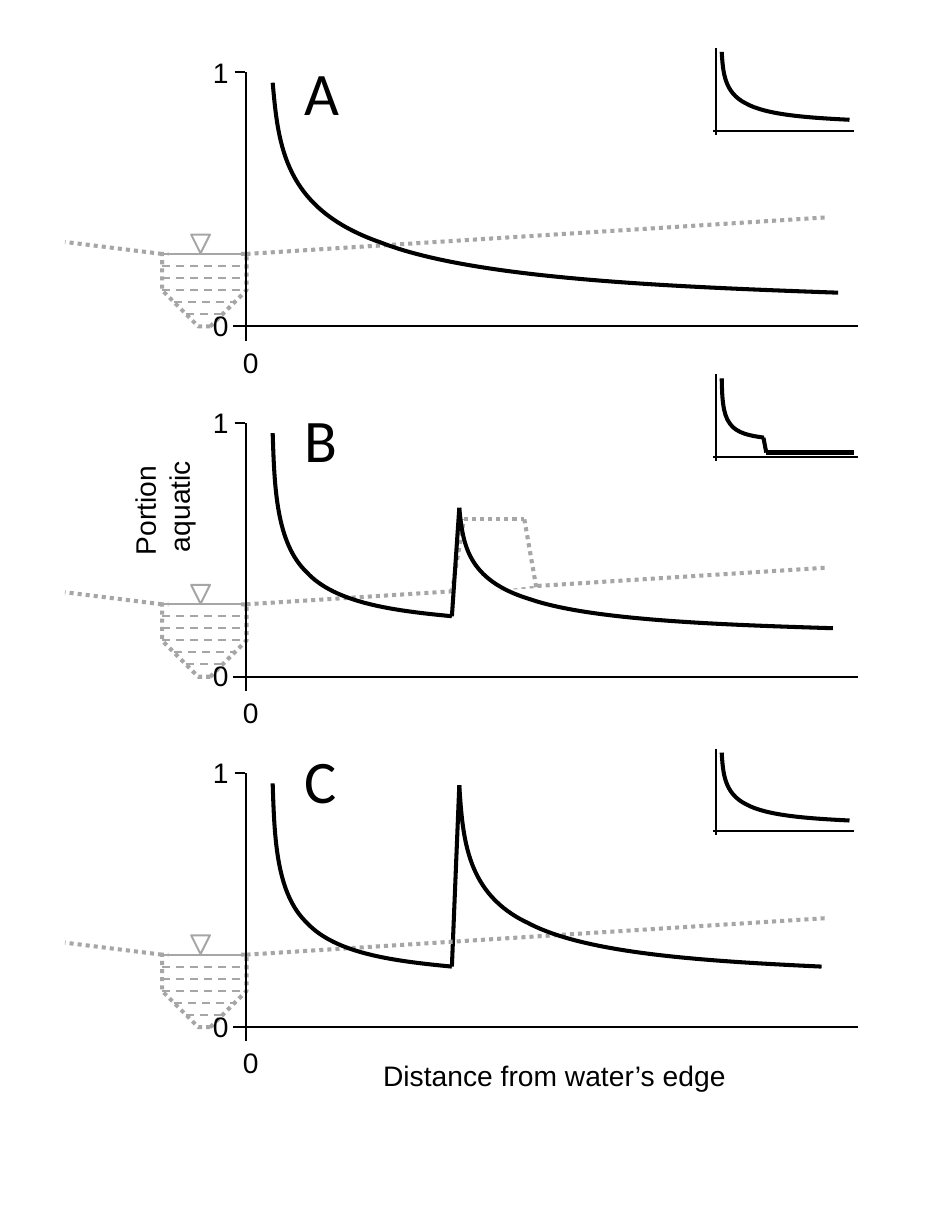
from dataclasses import dataclass
from typing import Optional

from lxml import etree
from pptx import Presentation
from pptx import util as u
from pptx.dml.color import RGBColor
from pptx.enum import dml, shapes, text
from pptx.oxml import ns

BLACK = RGBColor(0x00, 0x00, 0x00)
GREY = RGBColor(0xA6, 0xA6, 0xA6)
WHITE = RGBColor(0xFF, 0xFF, 0xFF)
DOT = dml.MSO_LINE.ROUND_DOT
DASH = dml.MSO_LINE.DASH
SHAPE = shapes.MSO_SHAPE

Point = tuple[float, float]
Box = tuple[float, float, float, float]  # left, top, width, height in cm

PITCH = 6.14  # distance between panels
# Two cubic Bezier segments on a unit square, shared by every decay curve
DECAY = [(0, 0), (0.01, 0.3), (0.02, 0.6), (0.19, 0.76),
         (0.35, 0.93), (0.68, 0.97), (1, 1)]

# Panel positions, measured in the topmost panel
AXIS_X, BASE_Y, TOP_Y = 4.32, 5.72, 1.27
BANK_X, WATER_Y = 2.84, 4.45
WATER_STEP = 0.21
WATER_INSETS = (0, 0, 0, 0, 1, 2)
NEAR_END = (7.92, 4.66)
HILL = [(7.92, 4.23), (8.13, 2.96), (9.19, 2.96), (9.4, 4.16)]


@dataclass
class Panel:
    letter: str
    letter_top: float
    near: Box
    far: Optional[Box] = None
    hill: bool = False
    inset_shift: float = 0
    inset_right: float = 14.96
    inset_curve: Box = (12.65, 0.91, 2.24, 1.19)
    inset_drop: tuple[Point, ...] = ()


NEAR = (4.78, 1.45, 3.14, 3.21)
PANELS = [
    Panel("A", 0.84, near=(4.78, 1.45, 9.91, 3.68)),
    Panel("B", 0.79, NEAR, far=(8.05, 2.76, 6.55, 2.11), hill=True,
          inset_shift=-0.42, inset_right=15.04,
          inset_curve=(12.65, 0.91, 0.74, 1.04),
          inset_drop=((13.38, 1.95), (13.43, 2.21), (14.96, 2.21))),
    Panel("C", 0.62, NEAR, far=(8.05, 1.48, 6.35, 3.18)),
]


def style_line(ln, color: RGBColor, width: float, dash=None) -> None:
    ln.color.rgb = color
    ln.width = u.Pt(width)
    if dash is not None:
        ln.dash_style = dash


def add_line(s, start: Point, end: Point, dy: float = 0, color: RGBColor = BLACK,
             width: float = 1, dash=None) -> None:
    c = s.shapes.add_connector(
        shapes.MSO_CONNECTOR.STRAIGHT, u.Cm(start[0]), u.Cm(start[1] + dy),
        u.Cm(end[0]), u.Cm(end[1] + dy))
    style_line(c.line, color, width, dash)
    sp_pr = c.element.find(ns.qn("p:spPr"))
    etree.SubElement(sp_pr, ns.qn("a:effectLst"))


def add_preset(s, kind, box: Box, dy: float, fill: Optional[RGBColor] = None,
               line: Optional[RGBColor] = None, width: float = 1, dash=None,
               rotation: float = 0):
    left, top, w, h = box
    sp = s.shapes.add_shape(kind, u.Cm(left), u.Cm(top + dy), u.Cm(w), u.Cm(h))
    sp.shadow.inherit = False
    sp.rotation = rotation
    if fill is None:
        sp.fill.background()
    else:
        sp.fill.solid()
        sp.fill.fore_color.rgb = fill
    if line is None:
        sp.line.fill.background()
    else:
        style_line(sp.line, line, width, dash)
    return sp


def add_text(s, words: str, box: Box, dy: float = 0, size: float = 14,
             font: str = "Arial", align=text.PP_ALIGN.CENTER,
             rotation: float = 0) -> None:
    """Add a text box with one paragraph per line of words."""
    left, top, w, h = box
    sp = s.shapes.add_textbox(u.Cm(left), u.Cm(top + dy), u.Cm(w), u.Cm(h))
    sp.rotation = rotation
    tf = sp.text_frame
    tf.word_wrap = True
    tf.auto_size = text.MSO_AUTO_SIZE.SHAPE_TO_FIT_TEXT
    tf.text = words
    for p in tf.paragraphs:
        p.alignment = align
        for r in p.runs:
            r.font.name = font
            r.font.size = u.Pt(size)
            r.font.color.rgb = BLACK


def bend_segments(sp) -> None:
    """Turn each three straight segments of a freeform into one Bezier segment."""
    segments = list(sp.element.iter(ns.qn("a:lnTo")))
    outline = segments[0].getparent()
    for i in range(0, len(segments), 3):
        curve = etree.SubElement(outline, ns.qn("a:cubicBezTo"))
        for segment in segments[i:i + 3]:
            curve.append(segment[0])
            outline.remove(segment)


def add_decay(s, box: Box, dy: float) -> None:
    """Draw the decay curve stretched to fill the box."""
    left, top, w, h = box
    points = [(u.Cm(left + x * w), u.Cm(top + dy + y * h)) for x, y in DECAY]
    builder = s.shapes.build_freeform(*points[0])
    builder.add_line_segments(points[1:], close=False)
    sp = builder.convert_to_shape()
    bend_segments(sp)
    sp.shadow.inherit = False
    sp.fill.background()
    style_line(sp.line, BLACK, 2)


def add_channel(s, dy: float) -> None:
    """Draw the stream channel, its banks and its water."""
    width = AXIS_X - BANK_X
    bed = add_preset(s, SHAPE.SNIP_2_SAME_RECTANGLE, (BANK_X, WATER_Y, width, 1.27),
                     dy, WHITE, GREY, 2, DOT, rotation=180)
    bed.adjustments[0], bed.adjustments[1] = 0.5, 0
    add_line(s, (AXIS_X, WATER_Y), (14.48, 3.81), dy, GREY, 2, DOT)
    add_line(s, (BANK_X, WATER_Y), (1.14, 4.24), dy, GREY, 2, DOT)
    add_preset(s, SHAPE.RECTANGLE, (2.95, 4.24, 1.27, 0.48), dy, WHITE)
    for i, inset in enumerate(WATER_INSETS):
        y = WATER_Y + i * WATER_STEP
        indent = inset * WATER_STEP
        add_line(s, (BANK_X + indent, y), (AXIS_X - indent, y), dy, GREY,
                 dash=DASH if i else None)
    add_preset(s, SHAPE.ISOSCELES_TRIANGLE, (3.35, 4.11, 0.33, 0.33), dy,
               line=GREY, rotation=180)


def add_hill(s, dy: float) -> None:
    foot, crest_left, crest_right, far_foot = HILL
    add_line(s, foot, crest_left, dy, GREY, 2, DOT)
    add_line(s, crest_left, crest_right, dy, GREY, 2, DOT)
    add_line(s, foot, (9.4, 4.03), dy, WHITE, 5)
    add_line(s, crest_right, far_foot, dy, GREY, 2, DOT)


def add_inset(s, panel: Panel, dy: float) -> None:
    add_line(s, (12.5, 2.29), (panel.inset_right, 2.29), dy)
    add_line(s, (12.55, 0.84), (12.55, 2.36), dy)
    add_decay(s, panel.inset_curve, dy)
    for start, end in zip(panel.inset_drop, panel.inset_drop[1:]):
        add_line(s, start, end, dy, width=2)


def add_panel(s, panel: Panel, dy: float) -> None:
    if panel.far and not panel.hill:
        add_line(s, panel.far[:2], NEAR_END, dy, width=2)
    add_line(s, (4.09, BASE_Y), (15.04, BASE_Y), dy)
    add_text(s, "1", (3.48, 0.84, 0.66, 0.84), dy)
    add_line(s, (4.11, TOP_Y), (4.29, TOP_Y), dy)
    add_channel(s, dy)
    add_text(s, "0", (3.48, 5.28, 0.66, 0.84), dy)
    add_line(s, (AXIS_X, TOP_Y), (AXIS_X, 5.97), dy)
    add_decay(s, panel.near, dy)
    add_text(s, "0", (3.86, 5.92, 1.07, 0.86), dy)
    if panel.hill:
        add_hill(s, dy)
    if panel.far:
        add_decay(s, panel.far, dy)
    if panel.hill:
        add_line(s, panel.far[:2], NEAR_END, dy, width=2)
    add_inset(s, panel, dy + panel.inset_shift)
    add_text(s, panel.letter, (5.08, panel.letter_top, 1.27, 1.55), dy, size=30,
             font="Calibri", align=text.PP_ALIGN.LEFT)


def main() -> None:
    prs = Presentation()
    prs.slide_width, prs.slide_height = u.Cm(16.51), u.Cm(21.59)
    s = prs.slides.add_slide(prs.slide_layouts[6])
    for i, panel in enumerate(PANELS):
        add_panel(s, panel, i * PITCH)
    add_text(s, "Portion \naquatic", (1.57, 8.15, 2.54, 1.45), rotation=270)
    add_text(s, "Distance from water’s edge", (6.01, 18.42, 7.42, 0.86))
    prs.save("out.pptx")


if __name__ == "__main__":
    main()
